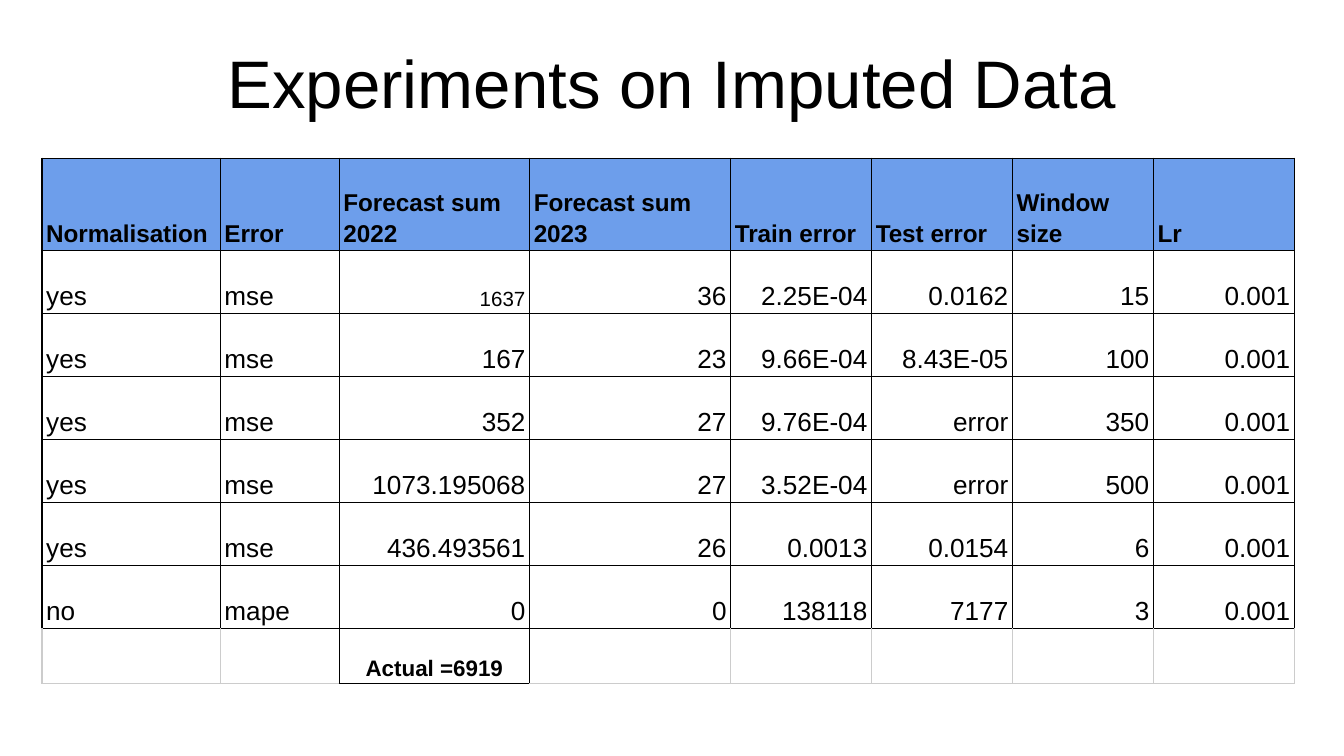
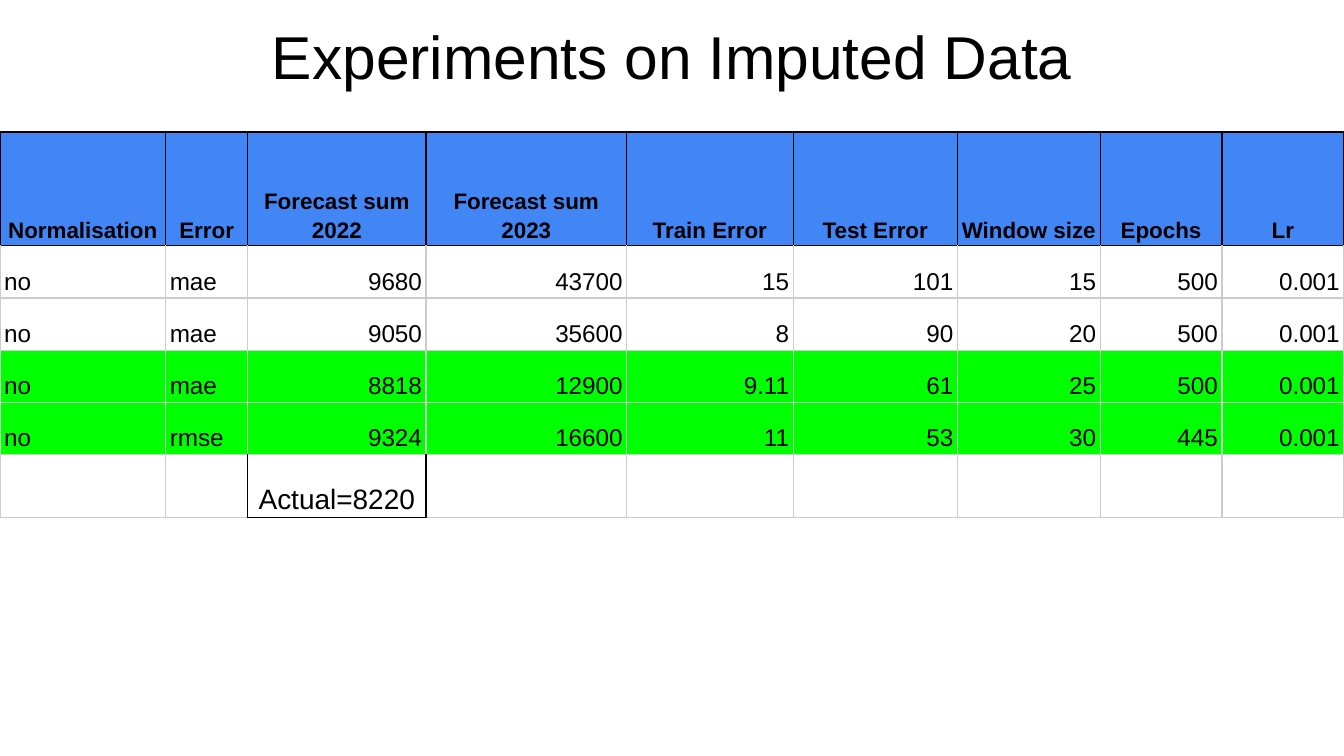
from pptx import Presentation
from pptx.dml.color import RGBColor
from pptx.enum.text import MSO_ANCHOR, PP_ALIGN
from pptx.oxml.xmlchemy import OxmlElement
from pptx.util import Pt

BLACK, GREY = "000000", "CCCCCC"
PALE_BLUE, BLUE, GREEN = "6D9EEB", "4285F4", "00FF00"
TITLE = "Experiments on Imputed Data"
LEFT, CENTER, RIGHT = PP_ALIGN.LEFT, PP_ALIGN.CENTER, PP_ALIGN.RIGHT


def color(hex_string):
    return RGBColor.from_string(hex_string)


class Deck:
    font_name = "Arial"
    line_width = 0.75
    text_columns = 2  # leading columns that hold words, not numbers

    def __init__(self, width, height):
        self.presentation = Presentation()
        self.presentation.slide_width = Pt(width)
        self.presentation.slide_height = Pt(height)
        self.slide = None

    def add_slide(self):
        layout = self.presentation.slide_layouts[6]
        self.slide = self.presentation.slides.add_slide(layout)

    def set_text(self, paragraph, text, size, alignment, bold=False):
        paragraph.text = text
        paragraph.alignment = alignment
        font = paragraph.font
        font.name, font.size, font.bold = self.font_name, Pt(size), bold
        font.color.rgb = color(BLACK)

    def title(self, top, height, size):
        shape = self.slide.shapes.add_textbox(Pt(24.5), Pt(top), Pt(671), Pt(height))
        frame = shape.text_frame
        frame.word_wrap = True
        frame.vertical_anchor = MSO_ANCHOR.MIDDLE
        frame.margin_top = frame.margin_bottom = Pt(7.2)
        self.set_text(frame.paragraphs[0], TITLE, size, CENTER)

    def table(self, left, top, widths, heights):
        """Add a table with plain cells and return it for styling."""
        shape = self.slide.shapes.add_table(
            len(heights), len(widths), Pt(left), Pt(top), Pt(sum(widths)), Pt(sum(heights)))
        table = shape.table
        table.first_row = table.horz_banding = False
        for column, width in zip(table.columns, widths):
            column.width = Pt(width)
        for row, height in zip(table.rows, heights):
            row.height = Pt(height)
        return table

    def cell(self, cell, text, size, alignment, bold=False, fill=None):
        cell.vertical_anchor = MSO_ANCHOR.BOTTOM
        cell.margin_left = cell.margin_right = Pt(2.25)
        cell.margin_top = cell.margin_bottom = Pt(1.5)
        if fill:
            cell.fill.solid()
            cell.fill.fore_color.rgb = color(fill)
        else:
            cell.fill.background()
        paragraph = cell.text_frame.paragraphs[0]
        paragraph.line_spacing = 1.15
        self.set_text(paragraph, text, size, alignment, bold)

    def borders(self, cell, colors):
        properties = cell._tc.get_or_add_tcPr()
        for index, (side, hex_string) in enumerate(zip("LRTB", colors)):
            line = OxmlElement(f"a:ln{side}")
            line.set("w", str(Pt(self.line_width)))
            fill = OxmlElement("a:solidFill")
            rgb = OxmlElement("a:srgbClr")
            rgb.set("val", hex_string)
            fill.append(rgb)
            line.append(fill)
            properties.insert(index, line)

    def frame_cells(self, table, framed):
        """Vertical edges are black beside a framed cell; horizontal ones follow the cell above."""
        def edge(*cells):
            return BLACK if any(cell in framed for cell in cells) else GREY

        for r in range(len(table.rows)):
            for c in range(len(table.columns)):
                self.borders(table.cell(r, c), (
                    edge((r, c - 1), (r, c)), edge((r, c), (r, c + 1)),
                    edge((max(r - 1, 0), c)), edge((r, c))))

    def results(self, left, top, widths, heights, header, body, actual, *,
                header_size, header_alignment, header_fill, body_size,
                actual_size, actual_bold, framed_rows, fills=None, sizes=None):
        """Add a results table whose last row shows the actual sum below column 2."""
        fills, sizes = fills or {}, sizes or {}
        last = len(body) + 1
        footer = [""] * len(header)
        footer[2] = actual
        table = self.table(left, top, widths, heights)
        for r, row in enumerate([header, *body, footer]):
            for c, text in enumerate(row):
                cell = table.cell(r, c)
                if r == 0:
                    self.cell(cell, text, header_size, header_alignment, True, header_fill)
                elif r == last:
                    self.cell(cell, text, actual_size, CENTER, actual_bold)
                else:
                    alignment = LEFT if c < self.text_columns else RIGHT
                    size = sizes.get((r, c), body_size)
                    self.cell(cell, text, size, alignment, fill=fills.get(r))
        framed = {(r, c) for r in range(framed_rows) for c in range(len(header))}
        self.frame_cells(table, framed | {(last, 2)})


def main():
    deck = Deck(720, 405)

    # Normalised runs
    deck.add_slide()
    deck.title(top=10.8, height=66.25, size=36)
    deck.results(
        22.5, 84.75,
        [95.5, 63.75, 102, 107.75] + [75.5] * 4,
        [49.5] + [33.75] * 6 + [29.75],
        ["Normalisation", "Error", "Forecast sum 2022", "Forecast sum 2023",
         "Train error", "Test error", "Window size", "Lr"],
        [line.split() for line in (
            "yes mse 1637 36 2.25E-04 0.0162 15 0.001",
            "yes mse 167 23 9.66E-04 8.43E-05 100 0.001",
            "yes mse 352 27 9.76E-04 error 350 0.001",
            "yes mse 1073.195068 27 3.52E-04 error 500 0.001",
            "yes mse 436.493561 26 0.0013 0.0154 6 0.001",
            "no mape 0 0 138118 7177 3 0.001")],
        "Actual =6919",
        header_size=13, header_alignment=LEFT, header_fill=PALE_BLUE, body_size=14,
        actual_size=12, actual_bold=True, framed_rows=7, sizes={(1, 2): 11})

    # Runs without normalisation, best two highlighted
    deck.add_slide()
    deck.title(top=0, height=59, size=32.4)
    deck.results(
        0, 70.75,
        [88.75, 44, 95.5, 107.5, 89.25, 88, 76.5, 65.25, 65.25],
        [61] + [28] * 4 + [33.75],
        ["Normalisation", "Error", "Forecast sum 2022", "Forecast sum 2023",
         "Train Error", "Test Error", "Window size", "Epochs", "Lr"],
        [line.split() for line in (
            "no mae 9680 43700 15 101 15 500 0.001",
            "no mae 9050 35600 8 90 20 500 0.001",
            "no mae 8818 12900 9.11 61 25 500 0.001",
            "no rmse 9324 16600 11 53 30 445 0.001")],
        "Actual=8220",
        header_size=12, header_alignment=CENTER, header_fill=BLUE, body_size=13,
        actual_size=15, actual_bold=False, framed_rows=1, fills={3: GREEN, 4: GREEN})

    deck.presentation.save("out.pptx")


if __name__ == "__main__":
    main()
